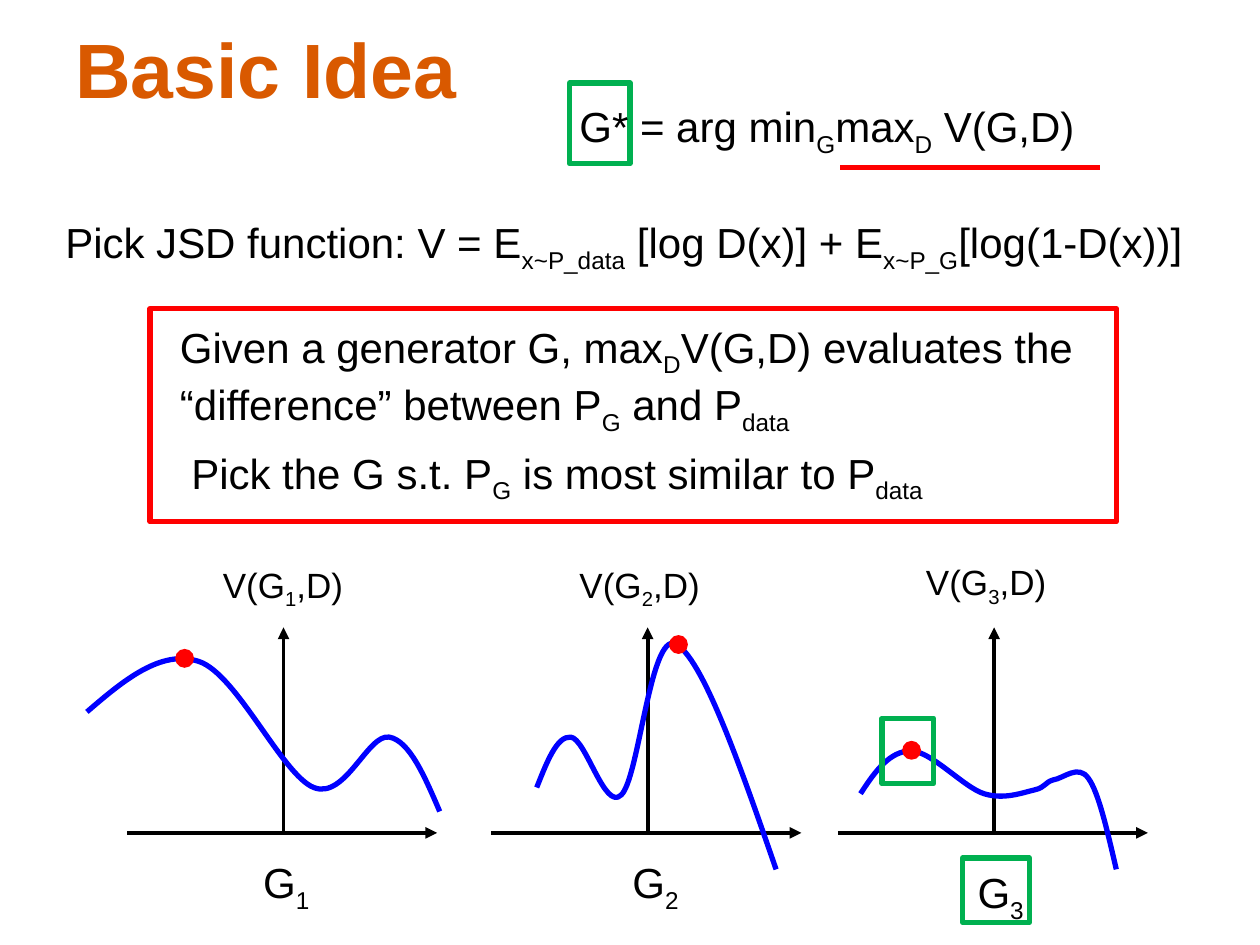
from lxml import etree
from pptx import Presentation
from pptx.dml.color import RGBColor
from pptx.enum.shapes import MSO_CONNECTOR, MSO_SHAPE
from pptx.enum.text import MSO_ANCHOR
from pptx.oxml.ns import qn
from pptx.util import Inches, Pt

LINE = MSO_CONNECTOR.STRAIGHT
RECT, OVAL = MSO_SHAPE.RECTANGLE, MSO_SHAPE.OVAL
MIDDLE, TOP = MSO_ANCHOR.MIDDLE, MSO_ANCHOR.TOP

# All lengths are cells of a grid of 100 columns by 75 rows.
COLS, ROWS, CELL = 100, 75, 0.1

THEME = dict(font="Arial", title="D95900", ink="000000", curve="0000FF",
             red="FF0000", green="00B050", head=44, body=24, small=20,
             axis=2.25, thick=3)

# Text between bars is set as a subscript.
TITLE = ("Basic Idea", (5, 2.7, 90, 5.3))
TEXTS = [
    (["G* = arg min|G|max|D| V(G,D)"], (45, 7.5, 42.1, 5.1)),
    (["Given a generator G, max|D|V(G,D) evaluates the",
      "“difference” between P|G| and P|data|"], (13.3, 25, 73.8, 9.1)),
    (["Pick JSD function: V = E|x~P_data| [log D(x)] + E|x~P_G|[log(1-D(x))]"],
     (4.2, 16.7, 93.7, 5.1)),
    (["Pick the G s.t. P|G| is most similar to P|data|"],
     (14.2, 35, 61.4, 5.1)),
]
FRAMES = [
    ("green", (45.2, 6.6, 4.8, 6.4)),
    ("green", (70, 57, 4.1, 5.2)),
    ("green", (76.4, 68.1, 5.3, 5.1)),
    ("red", (11.9, 24.5, 76.7, 16.9)),
]
RULE = (66.7, 13.3, 87.3, 13.3)

# Each curve is a start point, then two control points and an end per bend.
PLOTS = [
    dict(mid=22.5, dot=(13.9, 51.5), value=(16.7, 44.2), name=(19.9, 67.5),
         curve=[(6.9, 56.5),
                (9.8, 54), (12.8, 51.5), (15.8, 52.5),
                (18.8, 53.5), (22.4, 61.5), (24.9, 62.5),
                (27.4, 63.5), (29.2, 58.2), (30.9, 58.5),
                (32.5, 58.8), (33.7, 61.6), (34.9, 64.4)]),
    dict(mid=51.4, dot=(53.1, 50.4), value=(45, 44.2), name=(49.2, 67.5),
         curve=[(42.6, 62.5),
                (43.4, 60.5), (44.2, 58.4), (45.3, 58.5),
                (46.5, 58.6), (48, 64.4), (49.3, 63.1),
                (50.7, 61.9), (51.6, 50.2), (53.6, 51.1),
                (55.7, 52.1), (58.7, 60.6), (61.6, 69)]),
    dict(mid=78.9, dot=(71.6, 58.8), value=(72.5, 44), name=(76.6, 68.3),
         curve=[(68.3, 63),
                (69.4, 61.3), (70.6, 59.6), (72.3, 59.6),
                (73.9, 59.6), (76.5, 62.5), (78.1, 63),
                (79.7, 63.5), (81.2, 62.9), (82.1, 62.7),
                (83, 62.5), (82.9, 62.1), (83.6, 61.9),
                (84.4, 61.8), (85.6, 60.6), (86.4, 61.8),
                (87.2, 62.9), (87.9, 66), (88.6, 69)]),
]
BASE, PEAK, LEFT, RIGHT = 66.1, 49.8, 12.4, 12.2
DOT, VALUE, NAME = (1.5, 1.5), (11.9, 4.4), (5.9, 5.1)


def grid(*cells):
    return [Inches(cell * CELL) for cell in cells]


def tint(key):
    return RGBColor.from_string(THEME[key])


def pen(line, color, width):
    line.color.rgb = tint(color)
    line.width = Pt(THEME[width])


def write(slide, lines, box, size="body", color="ink", bold=False,
          wrap=False, anchor=TOP):
    frame = slide.shapes.add_textbox(*grid(*box)).text_frame
    frame.word_wrap = wrap
    frame.vertical_anchor = anchor
    for row, line in enumerate(lines):
        para = frame.add_paragraph() if row else frame.paragraphs[0]
        for part, text in enumerate(line.split("|")):
            if not text:
                continue
            run = para.add_run()
            run.text = text
            font = run.font
            font.name, font.size = THEME["font"], Pt(THEME[size])
            font.bold, font.color.rgb = bold, tint(color)
            if part % 2:
                run._r.get_or_add_rPr().set("baseline", "-25000")


def draw(slide, ends, color, width, arrow=False):
    link = slide.shapes.add_connector(LINE, *grid(*ends))
    pen(link.line, color, width)
    if arrow:
        etree.SubElement(link.line._get_or_add_ln(), qn("a:tailEnd"),
                         type="triangle")
    etree.SubElement(link._element.spPr, qn("a:effectLst"))


def bend(slide, points):
    """Draw a smooth open curve by turning each three points into one bend."""
    first, *rest = [grid(*point) for point in points]
    path = slide.shapes.build_freeform(*first)
    path.add_line_segments(rest, close=False)
    shape = path.convert_to_shape()
    shape.shadow.inherit = False
    shape.fill.background()
    pen(shape.line, "curve", "thick")
    steps = list(shape._element.iter(qn("a:lnTo")))
    track = steps[0].getparent()
    for start in range(0, len(steps), 3):
        cubic = etree.SubElement(track, qn("a:cubicBezTo"))
        for step in steps[start:start + 3]:
            cubic.append(step[0])
            track.remove(step)


def shape(slide, kind, box):
    item = slide.shapes.add_shape(kind, *grid(*box))
    item.shadow.inherit = False
    return item


def main():
    deck = Presentation()
    deck.slide_width, deck.slide_height = grid(COLS, ROWS)
    slide = deck.slides.add_slide(deck.slide_layouts[6])

    text, box = TITLE
    write(slide, [text], box, "head", "title", True, True, MIDDLE)
    for plot in PLOTS:
        mid = plot["mid"]
        draw(slide, (mid - LEFT, BASE, mid + RIGHT, BASE), "ink", "axis", True)
        draw(slide, (mid, BASE, mid, PEAK), "ink", "axis", True)
    for plot in PLOTS:
        bend(slide, plot["curve"])
        dot = shape(slide, OVAL, plot["dot"] + DOT)
        dot.fill.solid()
        dot.fill.fore_color.rgb = tint("red")
        dot.line.fill.background()
    draw(slide, RULE, "red", "thick")
    for color, box in FRAMES:
        frame = shape(slide, RECT, box)
        frame.fill.background()
        pen(frame.line, color, "thick")
    for lines, box in TEXTS:
        write(slide, lines, box)
    for count, plot in enumerate(PLOTS, 1):
        write(slide, [f"V(G|{count}|,D)"], plot["value"] + VALUE, "small")
        write(slide, [f"G|{count}|"], plot["name"] + NAME)

    deck.save("out.pptx")


if __name__ == "__main__":
    main()
